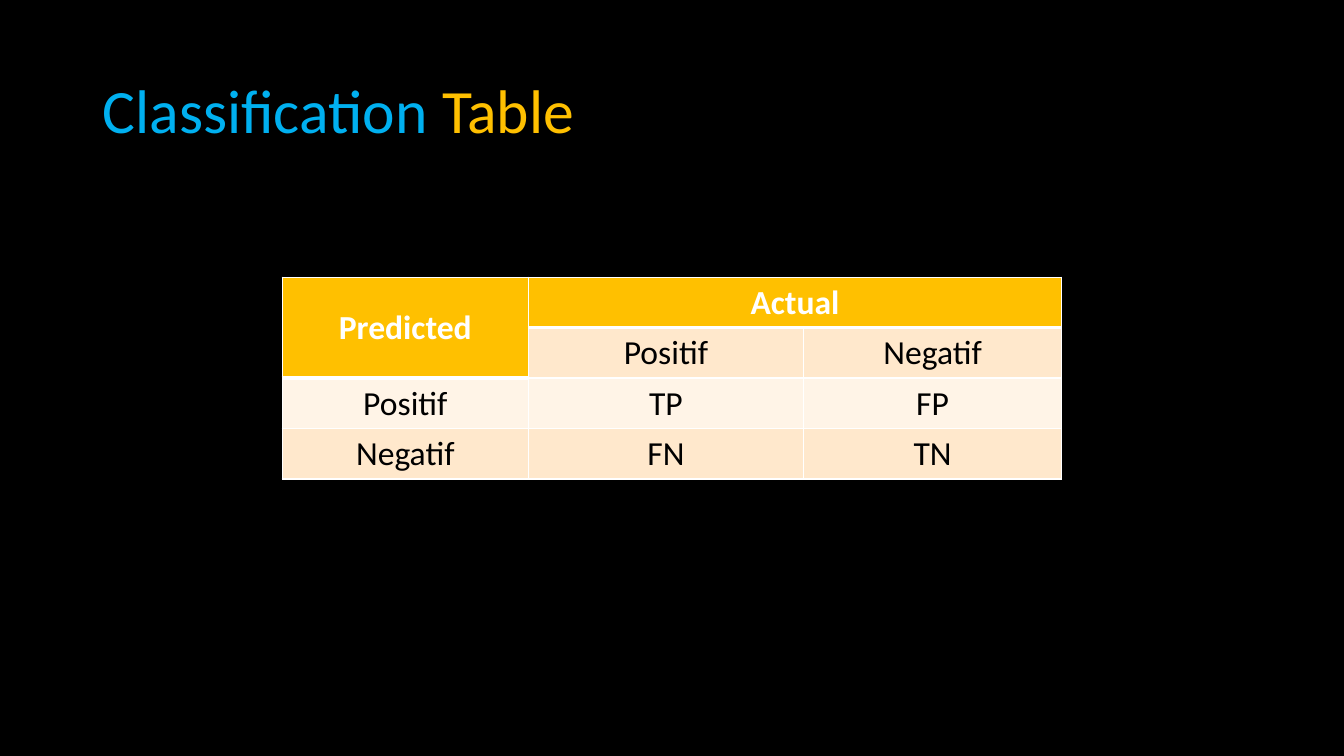
import pptx
import pptx.dml.color
import pptx.enum.text
import pptx.oxml
import pptx.oxml.ns
import pptx.util

Inches = pptx.util.Inches
Pt = pptx.util.Pt

COLORS = {
    "background": "000000",
    "blue": "00B0F0",
    "gold": "FFC000",
    "white": "FFFFFF",
    "black": "000000",
    "band_dark": "FFE8CC",
    "band_light": "FFF4E7",
}
FONT = "Calibri"
TITLE = [("Classification ", "blue"), ("Table", "gold")]
TITLE_BOX = (0.92, 0.4, 11.5, 1.45)
ROWS = [
    ["Predicted", "Actual", ""],
    ["", "Positif", "Negatif"],
    ["Positif", "TP", "FP"],
    ["Negatif", "FN", "TN"],
]
MERGES = [((0, 0), (1, 0)), ((0, 1), (0, 2))]
HEADER_CELLS = {cell for span in MERGES for cell in span}
TABLE_LEFT, TABLE_TOP = 2.8, 2.75
COL_WIDTHS = [2.44, 2.73, 2.56]
ROW_HEIGHT = 0.5
THIN, THICK = 1, 3


def rgb(name):
    return pptx.dml.color.RGBColor.from_string(COLORS[name])


def add_run(p, text, color, **formats):
    r = p.add_run()
    r.text = text
    r.font.color.rgb = rgb(color)
    for name, value in {"name": FONT, **formats}.items():
        setattr(r.font, name, value)


def add_borders(cell, top, bottom):
    """Draw white lines round a cell; call before its fill is set."""
    tc_pr = cell._tc.get_or_add_tcPr()
    for side, width in {"L": THIN, "R": THIN, "T": top, "B": bottom}.items():
        tc_pr.append(pptx.oxml.parse_xml(
            f'<a:ln{side} {pptx.oxml.ns.nsdecls("a")} w="{Pt(width)}">'
            f'<a:solidFill><a:srgbClr val="{COLORS["white"]}"/></a:solidFill>'
            f'</a:ln{side}>'))


def add_title(slide):
    tf = slide.shapes.add_textbox(*map(Inches, TITLE_BOX)).text_frame
    tf.word_wrap = True
    tf.vertical_anchor = pptx.enum.text.MSO_ANCHOR.MIDDLE
    p = tf.paragraphs[0]
    p.line_spacing = 0.9
    for text, color in TITLE:
        add_run(p, text, color, size=Pt(44))


def add_classification_table(slide):
    table = slide.shapes.add_table(
        len(ROWS), len(COL_WIDTHS), Inches(TABLE_LEFT), Inches(TABLE_TOP),
        Inches(sum(COL_WIDTHS)), Inches(ROW_HEIGHT * len(ROWS))).table
    for column, width in zip(table.columns, COL_WIDTHS):
        column.width = Inches(width)
    for row in table.rows:
        row.height = Inches(ROW_HEIGHT)
    for start, end in MERGES:
        table.cell(*start).merge(table.cell(*end))

    for i, texts in enumerate(ROWS):
        for j, text in enumerate(texts):
            cell = table.cell(i, j)
            header = (i, j) in HEADER_CELLS
            below_header = not header and (i - 1, j) in HEADER_CELLS
            add_borders(cell, THICK if below_header else THIN,
                        THICK if header else THIN)
            band = "band_dark" if i % 2 else "band_light"
            cell.fill.solid()
            cell.fill.fore_color.rgb = rgb("gold" if header else band)
            cell.vertical_anchor = pptx.enum.text.MSO_ANCHOR.MIDDLE
            if text:
                p = cell.text_frame.paragraphs[0]
                p.alignment = pptx.enum.text.PP_ALIGN.CENTER
                add_run(p, text, "white" if header else "black",
                        size=Pt(24), bold=header)


def main():
    prs = pptx.Presentation()
    prs.slide_width, prs.slide_height = Inches(13.33), Inches(7.5)
    slide = prs.slides.add_slide(prs.slide_layouts[6])
    slide.background.fill.solid()
    slide.background.fill.fore_color.rgb = rgb("background")
    add_title(slide)
    add_classification_table(slide)
    prs.save("out.pptx")


if __name__ == "__main__":
    main()
